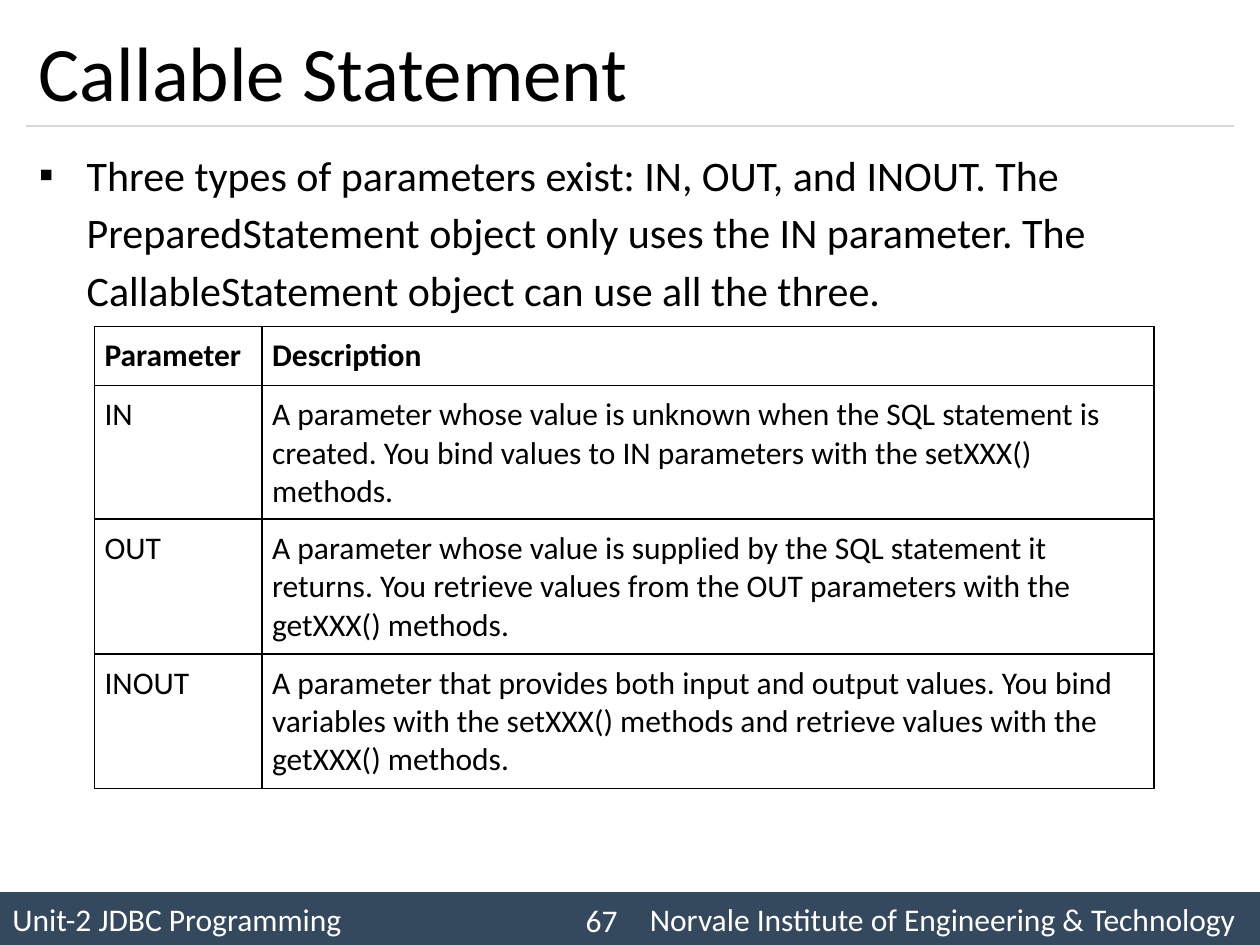
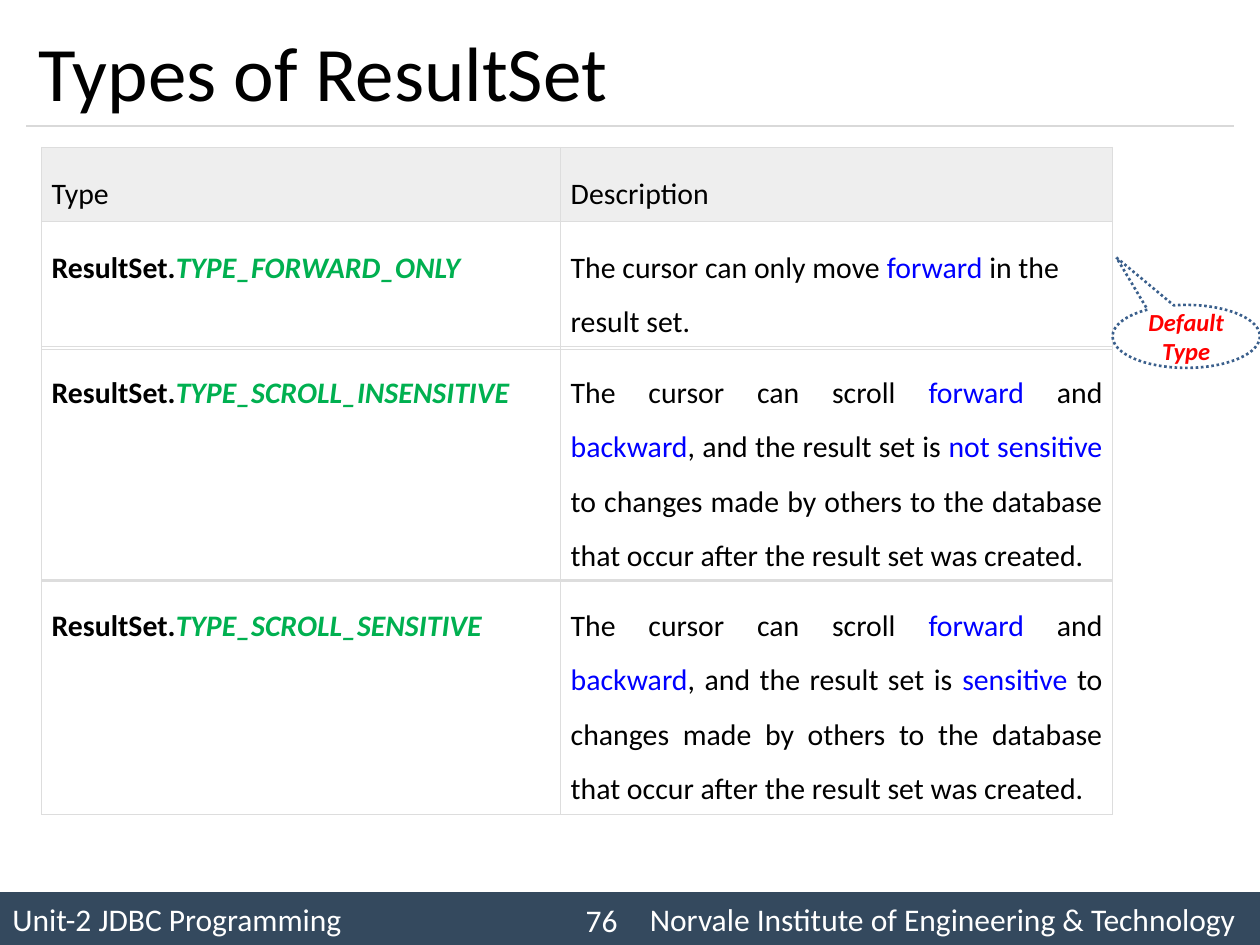
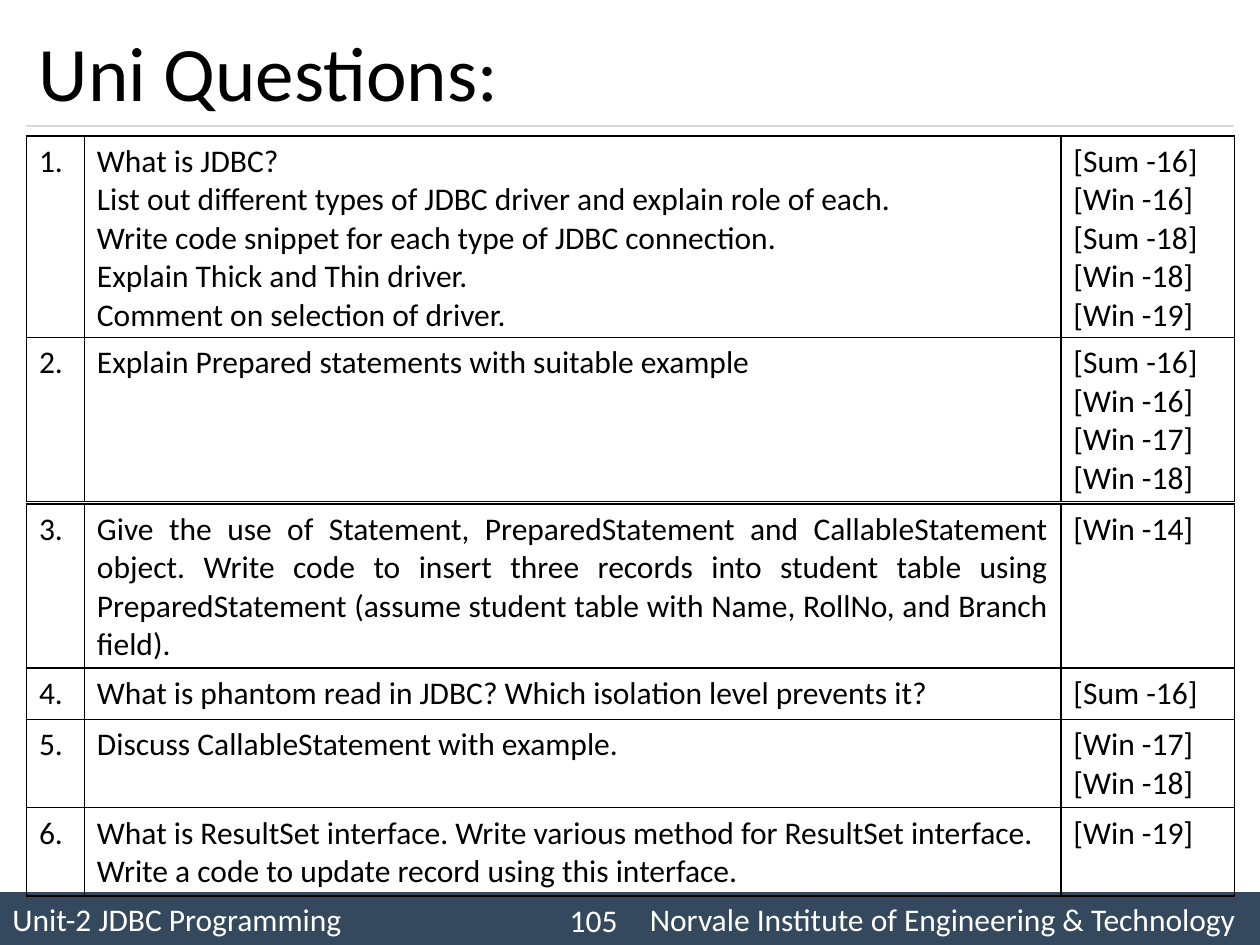
from lxml.etree import SubElement
from pptx import Presentation
from pptx.dml.color import RGBColor
from pptx.enum.dml import MSO_LINE
from pptx.enum.shapes import MSO_CONNECTOR, MSO_SHAPE
from pptx.enum.text import MSO_ANCHOR, PP_ALIGN
from pptx.oxml import parse_xml
from pptx.oxml.ns import nsdecls, qn
from pptx.util import Inches, Pt

FONT = "Calibri"
COLORS = {
    "text": "000000", "white": "FFFFFF", "bar": "34495E", "rule": "D9D9D9",
    "grid": "DDDDDD", "header": "EEEEEE", "constant": "00B050",
    "keyword": "0000FF", "callout": "FF0000", "callout_line": "3A5F8C",
}
STYLES = {
    "plain": {},
    "bold": {"bold": True},
    "constant": {"color": "constant", "bold": True, "italic": True},
    "keyword": {"color": "keyword"},
}
FOOTER = "Unit-2 JDBC Programming\tNorvale Institute of Engineering & Technology"

# A cell is a list of paragraphs, a paragraph a list of (text, style) runs.
# A plain string stands for a paragraph or a cell with a single plain run.
PARAMETERS_INTRO = (
    "Three types of parameters exist: IN, OUT, and INOUT. The PreparedStatement "
    "object only uses the IN parameter. The CallableStatement object can use all the three."
)
PARAMETERS = {
    "left": 0.75, "cols": (1.33, 7.08), "size": 18, "border": ("text", 1),
    "margins": (0.08, 0.08), "spacing": 1,
    "tables": [
        {"top": 2.59, "heights": (0.47, 1.06), "rows": [
            ([[("Parameter", "bold")]], [[("Description", "bold")]]),
            ("IN", "A parameter whose value is unknown when the SQL statement is created. "
                   "You bind values to IN parameters with the setXXX() methods."),
        ]},
        {"top": 4.12, "heights": (1.07,), "rows": [
            ("OUT", "A parameter whose value is supplied by the SQL statement it returns. "
                    "You retrieve values from the OUT parameters with the getXXX() methods."),
        ]},
        {"top": 5.19, "heights": (1.07,), "rows": [
            ("INOUT", "A parameter that provides both input and output values. You bind "
                      "variables with the setXXX() methods and retrieve values with the "
                      "getXXX() methods."),
        ]},
    ],
}


def type_name(constant):
    return [[("ResultSet.", "bold"), (constant, "constant")]]


def scroll_description(sensitivity):
    return [[
        ("The cursor can scroll ", "plain"), ("forward", "keyword"), (" and ", "plain"),
        ("backward", "keyword"), (", and the result set is ", "plain"),
        (sensitivity, "keyword"),
        (" to changes made by others to the database that occur after the "
         "result set was created.", "plain"),
    ]]


RESULT_SETS = {
    "left": 0.33, "cols": (4.12, 4.38), "size": 17, "border": ("grid", 0.75),
    "margins": (0.08, 0.08), "spacing": 1.5,
    "tables": [
        {"top": 1.17, "heights": (0.59, 1), "header": True, "rows": [
            ("Type", "Description"),
            (type_name("TYPE_FORWARD_ONLY"),
             [[("The cursor can only move ", "plain"), ("forward", "keyword"),
               (" in the result set.", "plain")]]),
        ]},
        {"top": 2.75, "heights": (1.86,), "justify": True, "rows": [
            (type_name("TYPE_SCROLL_INSENSITIVE"), scroll_description("not sensitive")),
        ]},
        {"top": 4.6, "heights": (1.86,), "justify": True, "rows": [
            (type_name("TYPE_SCROLL_SENSITIVE"), scroll_description("sensitive")),
        ]},
    ],
}
QUESTIONS = {
    "left": 0.21, "cols": (0.46, 7.75, 1.38), "size": 18, "border": ("text", 1),
    "margins": (0.1, 0.05), "spacing": 1,
    "tables": [
        {"top": 1.08, "heights": (1.6,), "rows": [
            ("1.",
             ["What is JDBC?",
              "List out different types of JDBC driver and explain role of each.",
              "Write code snippet for each type of JDBC connection.",
              "Explain Thick and Thin driver.",
              "Comment on selection of driver."],
             ["[Sum -16]", "[Win -16]", "[Sum -18]", "[Win -18]", "[Win -19]"]),
        ]},
        {"top": 2.68, "heights": (1.3,), "rows": [
            ("2.", "Explain Prepared statements with suitable example",
             ["[Sum -16]", "[Win -16]", "[Win -17]", "[Win -18]"]),
        ]},
        {"top": 4, "heights": (1.3,), "justify": True, "rows": [
            ("3.", "Give the use of Statement, PreparedStatement and CallableStatement "
                   "object. Write code to insert three records into student table using "
                   "PreparedStatement (assume student table with Name, RollNo, and "
                   "Branch field).", "[Win -14]"),
        ]},
        {"top": 5.3, "heights": (0.41,), "rows": [
            ("4.", "What is phantom read in JDBC? Which isolation level prevents it?",
             "[Sum -16]"),
        ]},
        {"top": 5.71, "heights": (0.7, 0.7), "rows": [
            ("5.", "Discuss CallableStatement with example.", ["[Win -17]", "[Win -18]"]),
            ("6.", "What is ResultSet interface. Write various method for ResultSet "
                   "interface. Write a code to update record using this interface.",
             "[Win -19]"),
        ]},
    ],
}


def rgb(name):
    return RGBColor.from_string(COLORS[name])


def add_run(p, text, size, color="text", bold=False, italic=False):
    r = p.add_run()
    r.text = text
    r.font.name, r.font.size = FONT, Pt(size)
    r.font.bold, r.font.italic = bold, italic
    r.font.color.rgb = rgb(color)


def add_text(s, at, text, size, color="text", anchor=MSO_ANCHOR.MIDDLE,
             align=PP_ALIGN.LEFT):
    tf = s.shapes.add_textbox(*map(Inches, at)).text_frame
    tf.word_wrap = True
    tf.vertical_anchor = anchor
    p = tf.paragraphs[0]
    p.alignment = align
    add_run(p, text, size, color)
    return p


def add_frame(prs, title, number):
    """Add a slide with the title, its rule and the footer bar."""
    s = prs.slides.add_slide(prs.slide_layouts[6])
    bar = s.shapes.add_shape(MSO_SHAPE.RECTANGLE, *map(Inches, (0, 7.08, 10, 0.42)))
    bar.shadow.inherit = False
    bar.fill.solid()
    bar.fill.fore_color.rgb = rgb("bar")
    bar.line.fill.background()
    bar.text_frame.vertical_anchor = MSO_ANCHOR.MIDDLE
    p = bar.text_frame.paragraphs[0]
    p.alignment = PP_ALIGN.LEFT
    tabs = SubElement(p._p.get_or_add_pPr(), qn("a:tabLst"))
    SubElement(tabs, qn("a:tab"), pos=str(Inches(9.71)), algn="r")
    add_run(p, FOOTER, 18, "white")

    rule = s.shapes.add_connector(
        MSO_CONNECTOR.STRAIGHT, *map(Inches, (0.21, 1, 9.79, 1)))
    rule.line.color.rgb = rgb("rule")
    rule.line.width = Pt(0.75)
    SubElement(rule._element.spPr, qn("a:effectLst"))

    add_text(s, (0.21, 0.12, 9.58, 0.88), title, 44)
    add_text(s, (4.17, 7.1, 0.83, 0.4), number, 18, "white", align=PP_ALIGN.RIGHT)
    return s


def set_borders(cell, color, width):
    tcPr = cell._tc.get_or_add_tcPr()
    for i, side in enumerate("LRTB"):
        tcPr.insert(i, parse_xml(
            f'<a:ln{side} {nsdecls("a")} w="{Pt(width)}"><a:solidFill>'
            f'<a:srgbClr val="{COLORS[color]}"/></a:solidFill></a:ln{side}>'))


def fill_cell(cell, content, group, header, justify):
    cell.margin_left = cell.margin_right = Inches(group["margins"][0])
    cell.margin_top = cell.margin_bottom = Inches(group["margins"][1])
    if header:
        cell.fill.solid()
        cell.fill.fore_color.rgb = rgb("header")
    else:
        cell.fill.background()
    set_borders(cell, *group["border"])
    tf = cell.text_frame
    for i, runs in enumerate([content] if isinstance(content, str) else content):
        p = tf.add_paragraph() if i else tf.paragraphs[0]
        p.line_spacing = group["spacing"]
        p.alignment = PP_ALIGN.JUSTIFY if justify else PP_ALIGN.LEFT
        for text, style in [(runs, "plain")] if isinstance(runs, str) else runs:
            add_run(p, text, group["size"], **STYLES[style])


def add_tables(s, group):
    cols = group["cols"]
    for item in group["tables"]:
        rows, heights = item["rows"], item["heights"]
        at = (group["left"], item["top"], sum(cols), sum(heights))
        table = s.shapes.add_table(len(rows), len(cols), *map(Inches, at)).table
        table.first_row = table.horz_banding = False
        for column, width in zip(table.columns, cols):
            column.width = Inches(width)
        for i, row in enumerate(rows):
            table.rows[i].height = Inches(heights[i])
            for j, content in enumerate(row):
                fill_cell(table.cell(i, j), content, group,
                          header=item.get("header", False) and i == 0,
                          justify=item.get("justify", False) and j == 1)


def add_bullet(s, text):
    p = add_text(s, (0.21, 1.08, 9.58, 5.83), text, 24, anchor=MSO_ANCHOR.TOP)
    p.line_spacing = 1.14
    p.space_before = Pt(4.8)
    pPr = p._p.get_or_add_pPr()
    pPr.set("marL", str(Inches(0.38)))
    pPr.set("indent", str(Inches(-0.38)))
    SubElement(pPr, qn("a:buFont"), typeface="Wingdings")
    pPr[-1].set("typeface", "Arial")
    SubElement(pPr, qn("a:buChar"), char="▪")


def add_callout(s, text):
    callout = s.shapes.add_shape(
        MSO_SHAPE.OVAL_CALLOUT, *map(Inches, (8.83, 2.42, 1.17, 0.5)))
    callout.adjustments[0], callout.adjustments[1] = -0.474, -1.253
    callout.shadow.inherit = False
    callout.fill.background()
    callout.line.color.rgb = rgb("callout_line")
    callout.line.width = Pt(1.5)
    callout.line.dash_style = MSO_LINE.ROUND_DOT
    tf = callout.text_frame
    tf.word_wrap = True
    tf.vertical_anchor = MSO_ANCHOR.MIDDLE
    p = tf.paragraphs[0]
    p.alignment = PP_ALIGN.CENTER
    add_run(p, text, 14, "callout", bold=True, italic=True)


def main():
    prs = Presentation()
    prs.slide_width, prs.slide_height = Inches(10), Inches(7.5)

    s = add_frame(prs, "Callable Statement", "67")
    add_bullet(s, PARAMETERS_INTRO)
    add_tables(s, PARAMETERS)

    s = add_frame(prs, "Types of ResultSet", "76")
    add_tables(s, RESULT_SETS)
    add_callout(s, "Default Type")

    s = add_frame(prs, "Uni Questions:", "105")
    add_tables(s, QUESTIONS)

    prs.save("out.pptx")


if __name__ == "__main__":
    main()
